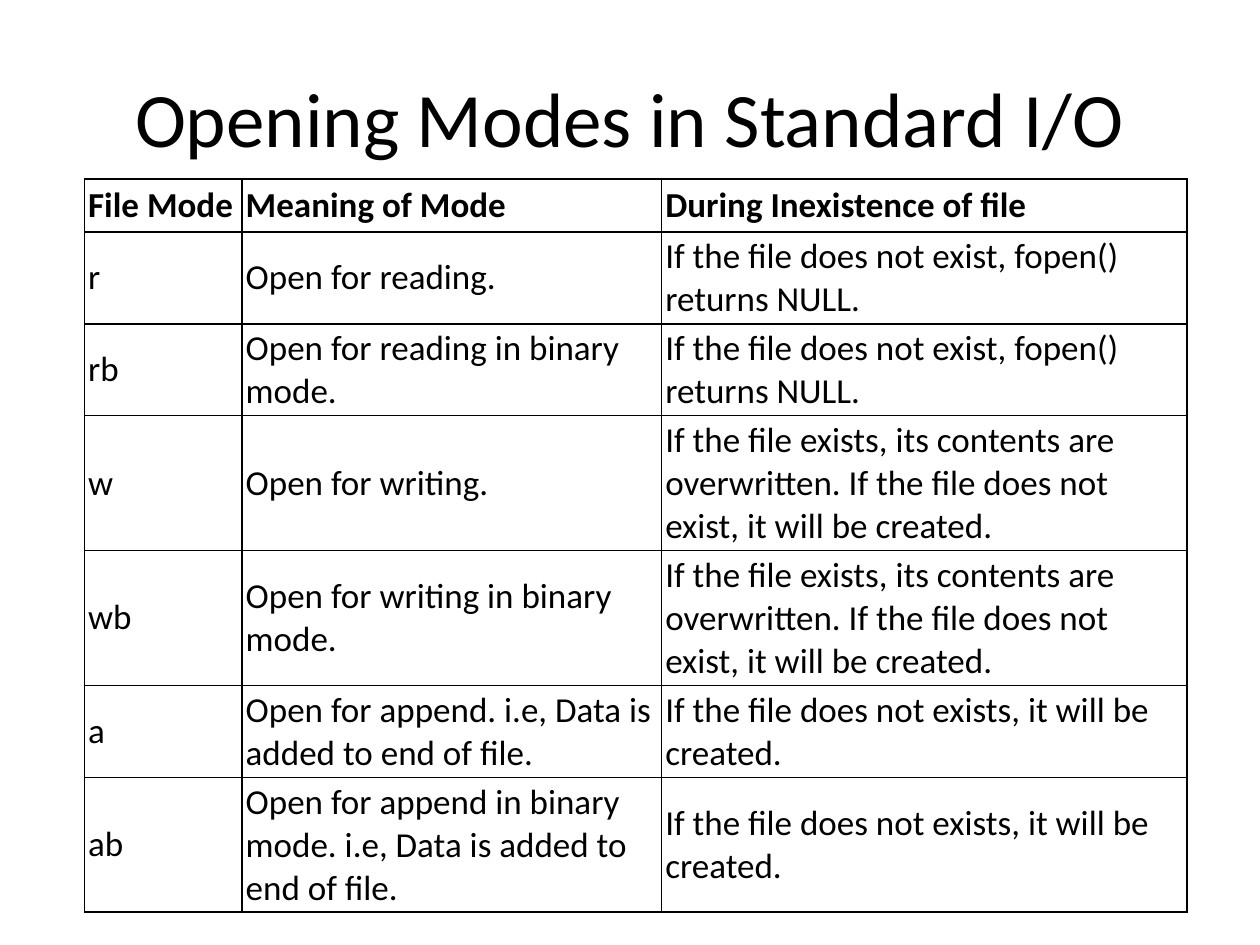
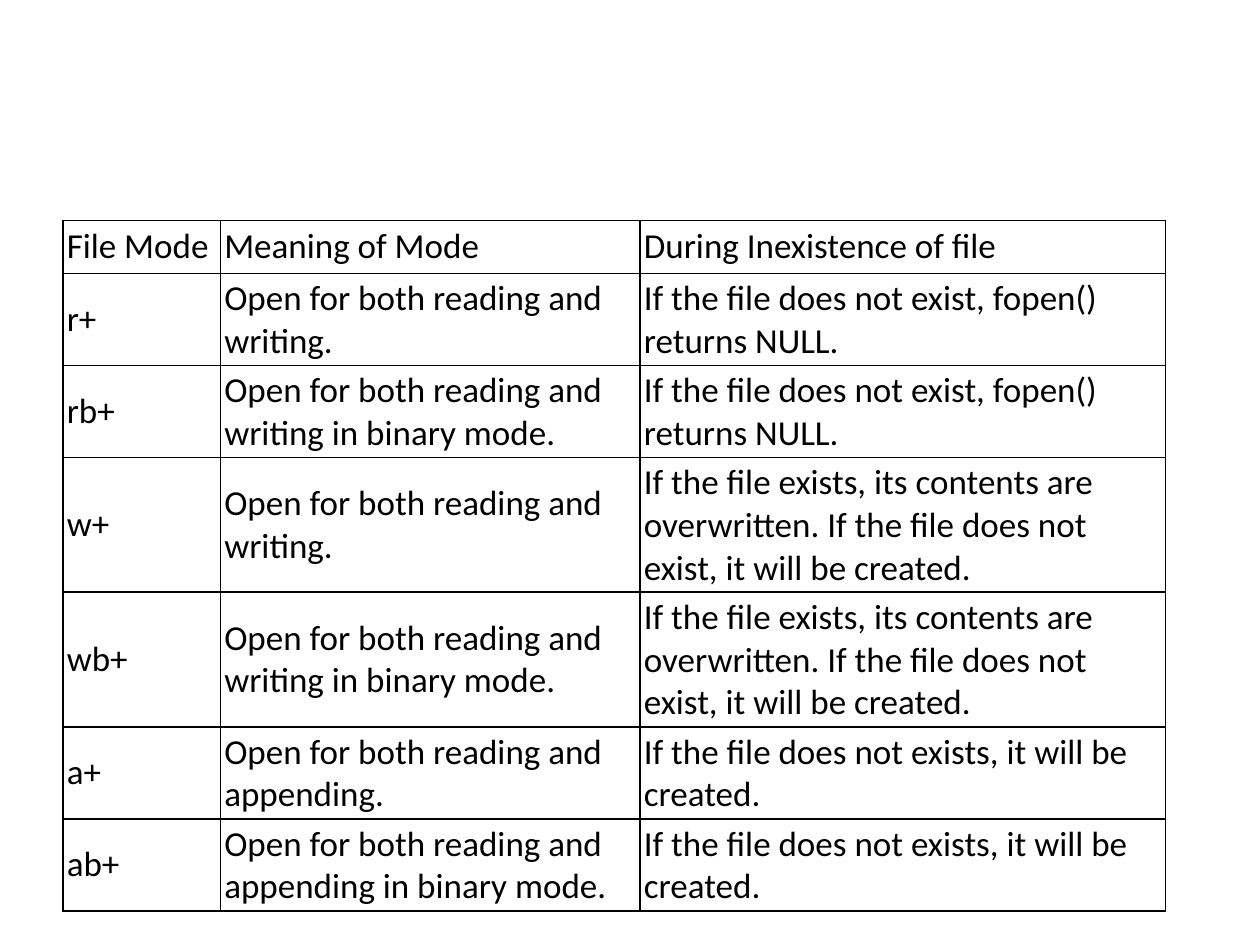
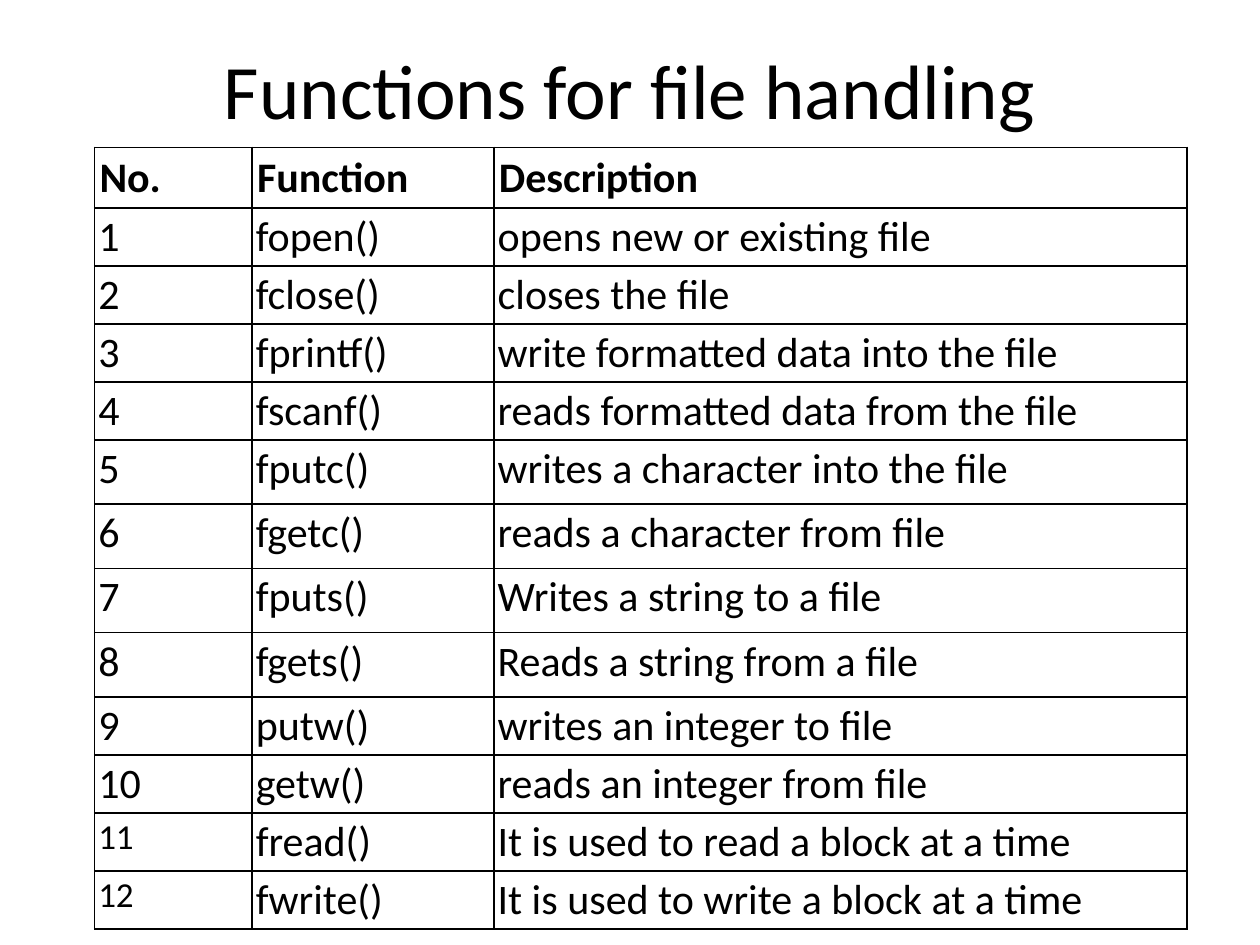
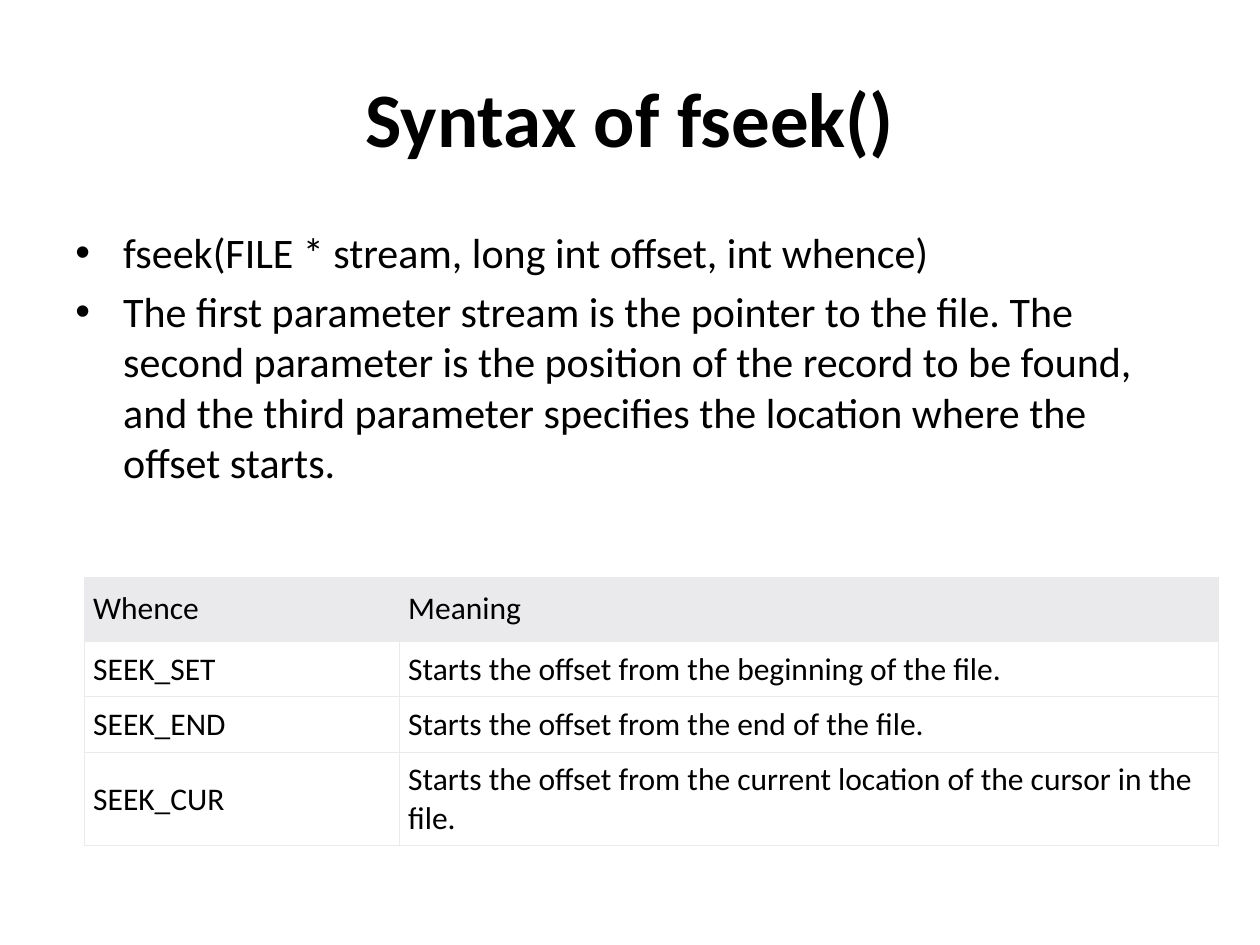
from lxml.etree import SubElement
from pptx import Presentation
from pptx.dml.color import RGBColor
from pptx.enum.text import MSO_ANCHOR as Anchor, PP_ALIGN as Align
from pptx.oxml.ns import qn
from pptx.util import Inches, Pt

BLACK = RGBColor(0x00, 0x00, 0x00)
WHITE = RGBColor(0xFF, 0xFF, 0xFF)
GREY = RGBColor(0xEA, 0xEA, 0xEC)
FONT = "Calibri"

NO_FILE = "If the file does not exist, fopen() returns NULL."
WIPED = ("If the file exists, its contents are overwritten. "
         "If the file does not exist, it will be created.")
MADE = "If the file does not exists, it will be created."
MODE_HEAD = ("File Mode", "Meaning of Mode", "During Inexistence of file")
MODE_COLS = (1.25, 3.33, 4.17)
MODE_PADS = ((0.03, 0.04, 0.02, 0.04), (0.03, 0.03, 0.02, 0.03))
HEAD, TWO, THREE = 0.42, 0.73, 1.07

MODES = [
    MODE_HEAD,
    ("r", "Open for reading.", NO_FILE),
    ("rb", "Open for reading in binary mode.", NO_FILE),
    ("w", "Open for writing.", WIPED),
    ("wb", "Open for writing in binary mode.", WIPED),
    ("a", "Open for append. i.e, Data is added to end of file.", MADE),
    ("ab", "Open for append in binary mode. i.e, Data is added to end of file.", MADE),
]

BOTH = "Open for both reading and "
PLUS_MODES = [
    MODE_HEAD,
    ("r+", BOTH + "writing.", NO_FILE),
    ("rb+", BOTH + "writing in binary mode.", NO_FILE),
    ("w+", BOTH + "writing.", WIPED),
    ("wb+", BOTH + "writing in binary mode.", WIPED),
    ("a+", BOTH + "appending.", MADE),
    ("ab+", BOTH + "appending in binary mode.", MADE),
]

CALLS = [
    ("fopen()", "opens new or existing file"),
    ("fclose()", "closes the file"),
    ("fprintf()", "write formatted data into the file"),
    ("fscanf()", "reads formatted data from the file"),
    ("fputc()", "writes a character into the file"),
    ("fgetc()", "reads a character from file"),
    ("fputs()", "Writes a string to a file"),
    ("fgets()", "Reads a string from a file"),
    ("putw()", "writes an integer to file"),
    ("getw()", "reads an integer from file"),
    ("fread()", "It is used to read a block at a time"),
    ("fwrite()", "It is used to write a block at a time"),
]

POINTS = [
    "fseek(FILE * stream, long int offset, int whence)",
    "The first parameter stream is the pointer to the file. The second parameter "
    "is the position of the record to be found, and the third parameter specifies "
    "the location where the offset starts.",
]

WHENCE = [
    ("Whence", "Meaning"),
    ("SEEK_SET", "Starts the offset from the beginning of the file."),
    ("SEEK_END", "Starts the offset from the end of the file."),
    ("SEEK_CUR", "Starts the offset from the current location of the cursor in the file."),
]


class Deck:
    def __init__(self):
        self.prs = Presentation()
        self.prs.slide_width = Inches(10)
        self.prs.slide_height = Inches(7.5)
        self.slide = None

    def page(self):
        self.slide = self.prs.slides.add_slide(self.prs.slide_layouts[6])
        fill = self.slide.background.fill
        fill.solid()
        fill.fore_color.rgb = WHITE

    def style(self, para, size, bold=False):
        for run in para.runs:
            font = run.font
            font.name, font.size, font.bold = FONT, Pt(size), bold
            font.color.rgb = BLACK

    def frame(self, top, height):
        box = self.slide.shapes.add_textbox(
            Inches(0.5), Inches(top), Inches(9), Inches(height))
        box.text_frame.word_wrap = True
        return box.text_frame

    def title(self, text, top=0.3, bold=False):
        frame = self.frame(top, 1.25)
        frame.vertical_anchor = Anchor.MIDDLE
        frame.text = text
        para = frame.paragraphs[0]
        para.alignment = Align.CENTER
        self.style(para, 44, bold)

    def bullets(self, items, top, height):
        frame = self.frame(top, height)
        frame.text = "\n".join(items)
        for para in frame.paragraphs:
            para.space_before = Pt(4.8)
            self.style(para, 24)
            props = para._p.get_or_add_pPr()
            props.set("marL", str(Inches(0.38)))
            props.set("indent", str(-Inches(0.38)))
            SubElement(props, qn("a:buFont"), typeface="Arial")
            SubElement(props, qn("a:buChar"), char="•")

    def border(self, cell, color, width):
        props = cell._tc.get_or_add_tcPr()
        for side in ("lnL", "lnR", "lnT", "lnB"):
            line = SubElement(props, qn(f"a:{side}"), w=str(Pt(width)))
            solid = SubElement(line, qn("a:solidFill"))
            SubElement(solid, qn("a:srgbClr"), val=str(color))

    def table(self, left, top, cols, rows, data, pads, size, bold=False,
              anchor=Anchor.MIDDLE, line=BLACK, width=1, fills=None):
        table = self.slide.shapes.add_table(
            len(rows), len(cols), Inches(left), Inches(top),
            Inches(sum(cols)), Inches(sum(rows))).table
        table.first_row = table.horz_banding = False
        for col, wide in zip(table.columns, cols):
            col.width = Inches(wide)
        for i, (row, high, texts) in enumerate(zip(table.rows, rows, data)):
            row.height = Inches(high)
            part = min(i, 1)
            for cell, text in zip(row.cells, texts):
                cell.text = text
                cell.vertical_anchor = anchor
                (cell.margin_left, cell.margin_top, cell.margin_right,
                 cell.margin_bottom) = map(Inches, pads[part])
                self.style(cell.text_frame.paragraphs[0], size, bold and i == 0)
                self.border(cell, line, width)
                if fills:
                    cell.fill.solid()
                    cell.fill.fore_color.rgb = fills[part]
                else:
                    cell.fill.background()
        return table


def main():
    deck = Deck()

    deck.page()
    deck.title("Opening Modes in Standard I/O")
    deck.table(0.67, 1.42, MODE_COLS, (HEAD, TWO, TWO, THREE, THREE, TWO, THREE),
               MODES, MODE_PADS, 20, bold=True)

    deck.page()
    deck.table(0.5, 1.75, MODE_COLS, (HEAD, TWO, TWO, THREE, THREE, TWO, TWO),
               PLUS_MODES, MODE_PADS, 20)

    deck.page()
    deck.title("Functions for file handling", top=0.08)
    calls = [("No.", "Function", "Description")]
    calls += [(str(n), *call) for n, call in enumerate(CALLS, 1)]
    rows = [0.48] + [0.46] * 4 + [0.51] * 4 + [0.46] * 4
    table = deck.table(0.75, 1.17, (1.25, 1.92, 5.5), rows, calls,
                       ((0.04,) * 4, (0.03,) * 4), 24, bold=True, anchor=Anchor.TOP)
    for n in (11, 12):
        deck.style(table.cell(n, 0).text_frame.paragraphs[0], 20)

    deck.page()
    deck.title("Syntax of fseek()", bold=True)
    deck.bullets(POINTS, 1.75, 4.95)
    deck.table(0.67, 4.58, (2.5, 6.5), (0.51, 0.44, 0.44, 0.74), WHENCE,
               ((0.07, 0.1, 0.06, 0.1), (0.07, 0.07, 0.06, 0.06)), 18,
               line=GREY, width=0.5, fills=(GREY, WHITE))

    deck.prs.save("out.pptx")


if __name__ == "__main__":
    main()
